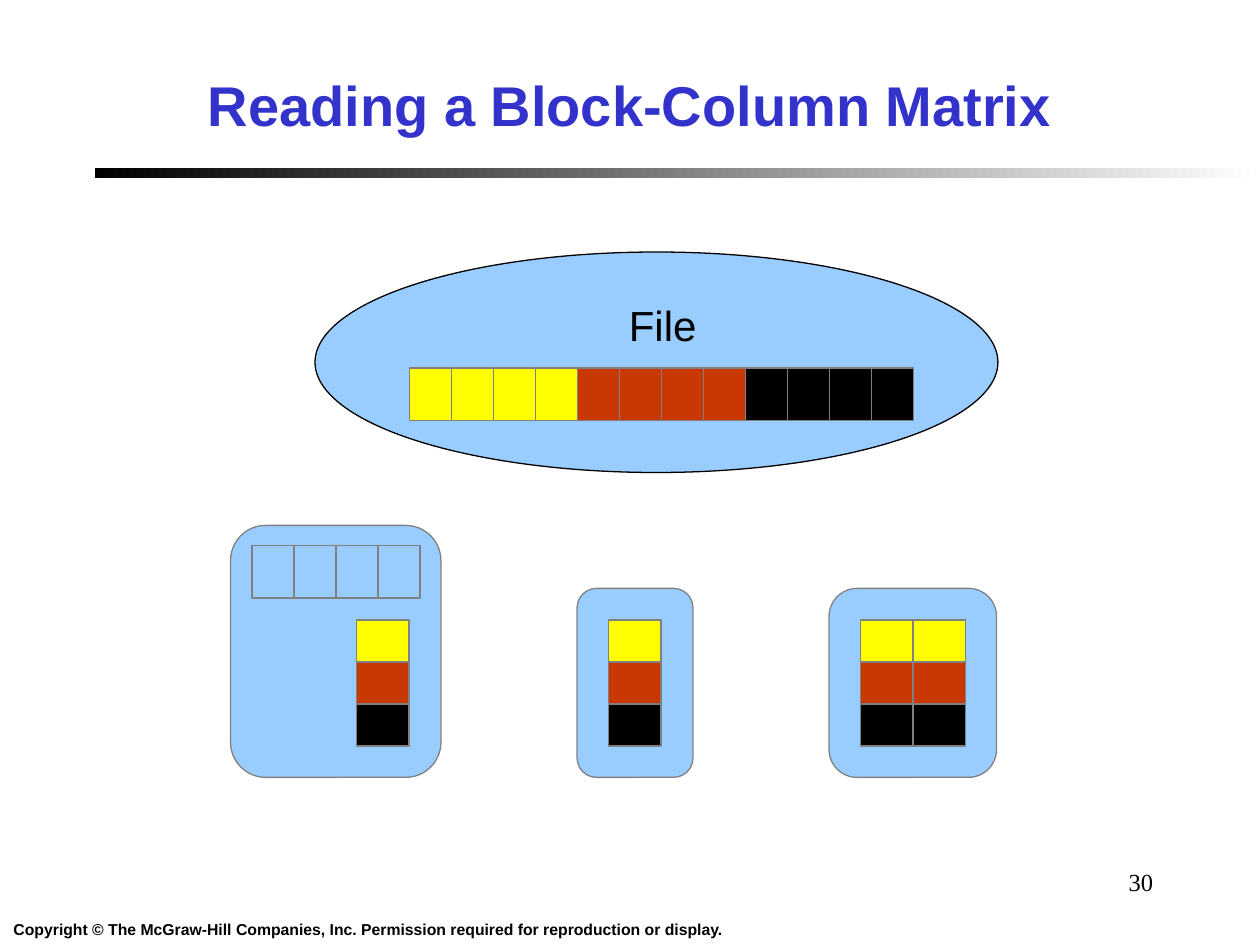
from dataclasses import dataclass

from pptx import Presentation
from pptx.dml.color import RGBColor
from pptx.enum.shapes import MSO_SHAPE
from pptx.enum.text import MSO_ANCHOR, PP_ALIGN
from pptx.util import Inches, Pt

RECTANGLE = MSO_SHAPE.RECTANGLE
ROUNDED = MSO_SHAPE.ROUNDED_RECTANGLE
OVAL = MSO_SHAPE.OVAL
MIDDLE = MSO_ANCHOR.MIDDLE
CENTER, RIGHT = PP_ALIGN.CENTER, PP_ALIGN.RIGHT


@dataclass(frozen=True)
class Theme:
    title: str = "3333CC"
    black: str = "000000"
    white: str = "FFFFFF"
    blue: str = "99CCFF"
    yellow: str = "FFFF00"
    red: str = "C93703"
    gray: str = "808080"
    sans: str = "Arial"
    serif: str = "Times New Roman"
    title_size: int = 32
    label_size: int = 24
    number_size: int = 14
    copyright_size: int = 9
    line_width: float = 0.75


theme = Theme()


def add_block(kind, left, top, width, height, fill, line=theme.gray):
    block = page.shapes.add_shape(
        kind, Inches(left), Inches(top), Inches(width), Inches(height))
    block.shadow.inherit = False
    block.fill.solid()
    block.fill.fore_color.rgb = RGBColor.from_string(fill)
    block.line.color.rgb = RGBColor.from_string(line)
    block.line.width = Pt(theme.line_width)
    return block


def write_text(box, text, size, color, font=theme.sans, bold=False, align=CENTER):
    box.text_frame.text = text
    para = box.text_frame.paragraphs[0]
    para.alignment = align
    span = para.runs[0]
    span.font.name = font
    span.font.size = Pt(size)
    span.font.bold = bold
    span.font.color.rgb = RGBColor.from_string(color)


deck = Presentation()
deck.slide_width, deck.slide_height = Inches(10), Inches(7.5)
page = deck.slides.add_slide(deck.slide_layouts[5])

rule = page.shapes.add_shape(
    RECTANGLE, Inches(0.75), Inches(1.33), Inches(9.25), Inches(0.08))
rule.shadow.inherit = False
rule.line.fill.background()
rule.fill.gradient()
rule.fill.gradient_angle = 0
for stop, color, position in zip(
        rule.fill.gradient_stops, (theme.black, theme.white), (0, 1)):
    stop.color.rgb = RGBColor.from_string(color)
    stop.position = position

title = page.shapes.title
title.left, title.top = Inches(0.25), Inches(0.33)
title.width, title.height = Inches(9.5), Inches(1)
title.text_frame.vertical_anchor = MIDDLE
write_text(title, "Reading a Block-Column Matrix", theme.title_size,
           theme.title, bold=True)

copyright_box = page.shapes.add_textbox(
    Inches(0), Inches(7.25), Inches(5.84), Inches(0.25))
copyright_box.text_frame.word_wrap = False
write_text(copyright_box,
           "Copyright © The McGraw-Hill Companies, Inc. "
           "Permission required for reproduction or display.",
           theme.copyright_size, theme.black, bold=True)

number_box = page.shapes.add_textbox(
    Inches(7.17), Inches(6.83), Inches(2.08), Inches(0.5))
number_box.text_frame.word_wrap = True
write_text(number_box, "30", theme.number_size, theme.black,
           font=theme.serif, align=RIGHT)

add_block(OVAL, 2.5, 2, 5.42, 1.75, theme.blue, theme.black)
file_label = page.shapes.add_textbox(
    Inches(4.76), Inches(2.33), Inches(1), Inches(0.5))
file_label.text_frame.word_wrap = True
write_text(file_label, "File", theme.label_size, theme.black)

short_side, long_side = 1 / 3, 5 / 12
row_colors = (theme.yellow, theme.red, theme.black)

for index in range(12):
    add_block(RECTANGLE, 3.25 + index * short_side, 2.92, short_side, long_side,
              row_colors[index // 4])

processes = (
    (1.83, 4.17, 1.67, 2, 2.83, 1),
    (4.58, 4.67, 0.92, 1.5, 4.83, 1),
    (6.58, 4.67, 1.33, 1.5, 6.83, 2),
)
for left, top, width, height, matrix_left, columns in processes:
    panel = add_block(ROUNDED, left, top, width, height, theme.blue)
    panel.adjustments[0] = 0.167
    for row, color in enumerate(row_colors):
        for column in range(columns):
            add_block(RECTANGLE, matrix_left + column * long_side,
                      4.92 + row * short_side, long_side, short_side, color)

for index in range(4):
    add_block(RECTANGLE, 2 + index * short_side, 4.33, short_side, long_side,
              theme.blue)

deck.save("out.pptx")
